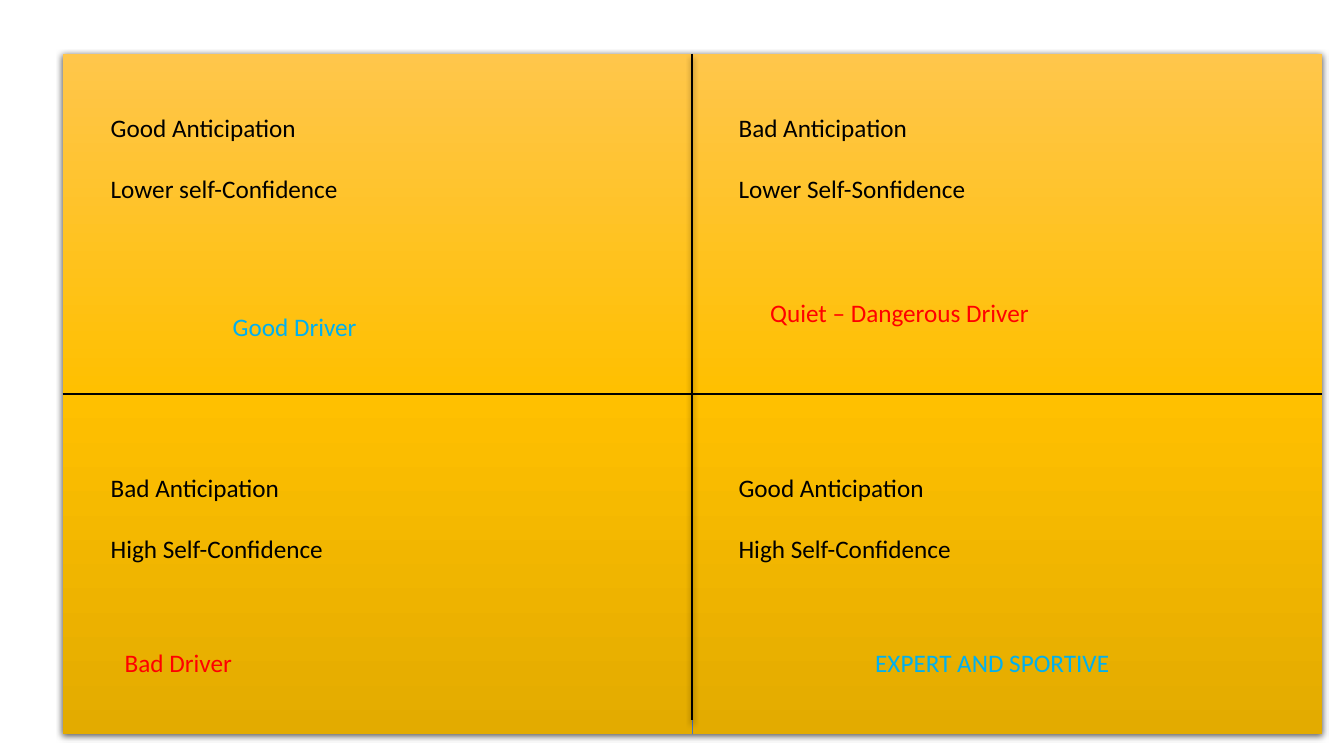
from lxml import etree
from pptx import Presentation
from pptx import util as u
from pptx.dml.color import RGBColor
from pptx.enum import shapes, text
from pptx.oxml import ns

COLORS = {"black": "000000", "blue": "00B0F0", "red": "FF0000", "divider": "4472C4",
          "light": "FFC64B", "gold": "FFC000", "dark": "E3AB00"}
LEFT, TOP, WIDTH, HEIGHT = 44.75, 38.5, 899.5, 486
RIGHT, BOTTOM = LEFT + WIDTH, TOP + HEIGHT
MID_X, MID_Y = LEFT + WIDTH / 2, TOP + HEIGHT / 2


class MatrixSlide:
    """Draws the panel, dividing lines and labels of a driver matrix."""

    def __init__(self, slide, font="Calibri", size=18):
        self.slide, self.font, self.size = slide, font, size

    def node(self, parent, tag, **attributes):
        return etree.SubElement(parent, ns.qn(tag), {k: str(v) for k, v in attributes.items()})

    def effects(self, item, shadow=None):
        effect_list = self.node(item.element.spPr, "a:effectLst")
        if shadow:
            blur, distance, opacity = shadow
            outer = self.node(effect_list, "a:outerShdw", blurRad=u.Pt(blur), dist=u.Pt(distance),
                              dir=5400000, algn="ctr", rotWithShape=0)
            color = self.node(outer, "a:srgbClr", val=COLORS["black"])
            self.node(color, "a:alpha", val=opacity * 1000)

    def panel(self, left, top, width, height, stops, shadow):
        panel = self.slide.shapes.add_shape(shapes.MSO_SHAPE.RECTANGLE, u.Pt(left), u.Pt(top),
                                            u.Pt(width), u.Pt(height))
        gradient = self.node(panel.element.spPr, "a:gradFill", rotWithShape=1)
        stop_list = self.node(gradient, "a:gsLst")
        for position, name in stops:
            stop = self.node(stop_list, "a:gs", pos=position * 1000)
            self.node(stop, "a:srgbClr", val=COLORS[name])
        self.node(gradient, "a:lin", ang=5400000, scaled=0)
        panel.line.fill.background()
        self.effects(panel, shadow)

    def line(self, x1, y1, x2, y2, color="black", width=1.5, shadow=None):
        line = self.slide.shapes.add_connector(shapes.MSO_CONNECTOR.STRAIGHT, u.Pt(x1), u.Pt(y1),
                                               u.Pt(x2), u.Pt(y2))
        line.line.color.rgb = RGBColor.from_string(COLORS[color])
        line.line.width = u.Pt(width)
        self.effects(line, shadow)

    def label(self, left, top, width, height, lines, color="black", centred=False):
        box = self.slide.shapes.add_textbox(u.Pt(left), u.Pt(top), u.Pt(width), u.Pt(height))
        frame = box.text_frame
        frame.word_wrap = True
        frame.auto_size = text.MSO_AUTO_SIZE.SHAPE_TO_FIT_TEXT
        for index, words in enumerate(lines):
            para = frame.add_paragraph() if index else frame.paragraphs[0]
            para.alignment = text.PP_ALIGN.CENTER if centred else text.PP_ALIGN.LEFT
            para.space_before = u.Pt(22 if index else 0)
            span = para.add_run()
            span.text = words
            span.font.name, span.font.size = self.font, u.Pt(self.size)
            span.font.color.rgb = RGBColor.from_string(COLORS[color])


def main():
    deck = Presentation()
    deck.slide_width, deck.slide_height = u.Pt(960), u.Pt(540)
    page = MatrixSlide(deck.slides.add_slide(deck.slide_layouts[6]))

    page.panel(LEFT, TOP, WIDTH, HEIGHT, [(0, "light"), (50, "gold"), (100, "dark")], (4.5, 1.5, 63))
    page.line(MID_X, TOP, MID_X, BOTTOM, "divider", 0.5)
    page.line(MID_X, TOP, MID_X, BOTTOM - 10.5, shadow=(4, 3, 40))
    page.line(LEFT, MID_Y, RIGHT, MID_Y)

    quadrants = [
        [["Good Anticipation", "Lower self-Confidence"], ["Bad Anticipation", "Lower Self-Sonfidence"]],
        [["Bad Anticipation", "High Self-Confidence"], ["Good Anticipation", "High Self-Confidence"]],
    ]
    for top, row in zip((77, 334), quadrants):
        for (left, width), traits in zip(((72, 393), (520.5, 385)), row):
            page.label(left, top, width, 73, traits)

    verdicts = [
        (520.5, 458.5, 376.5, "EXPERT AND SPORTIVE", "blue", True),
        (90, 219, 241, "Good Driver", "blue", True),
        (543, 209, 264, "Quiet – Dangerous Driver", "red", False),
        (82, 458.5, 372, "Bad Driver", "red", False),
    ]
    for left, top, width, verdict, color, centred in verdicts:
        page.label(left, top, width, 29, [verdict], color, centred)

    deck.save("out.pptx")


if __name__ == "__main__":
    main()
